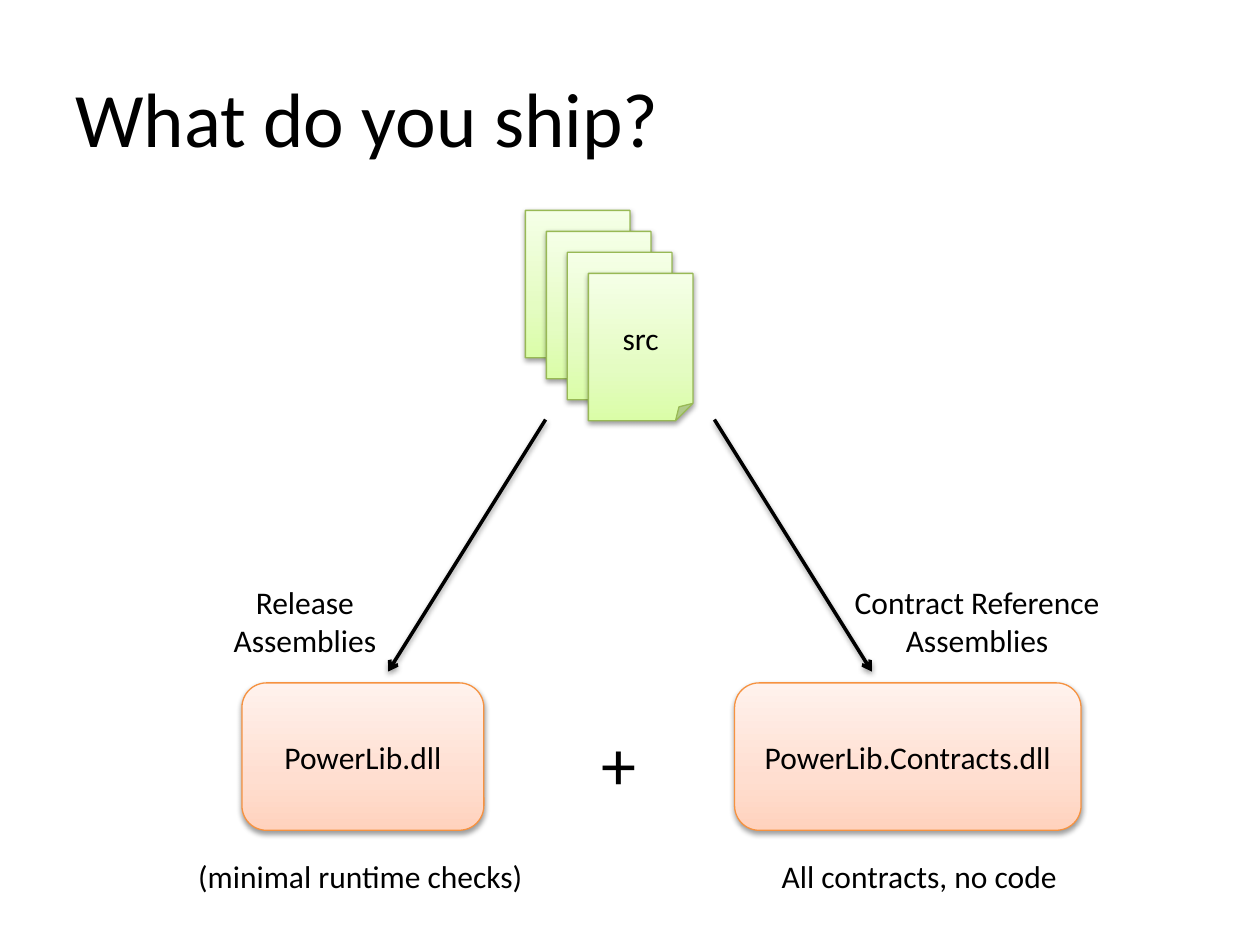
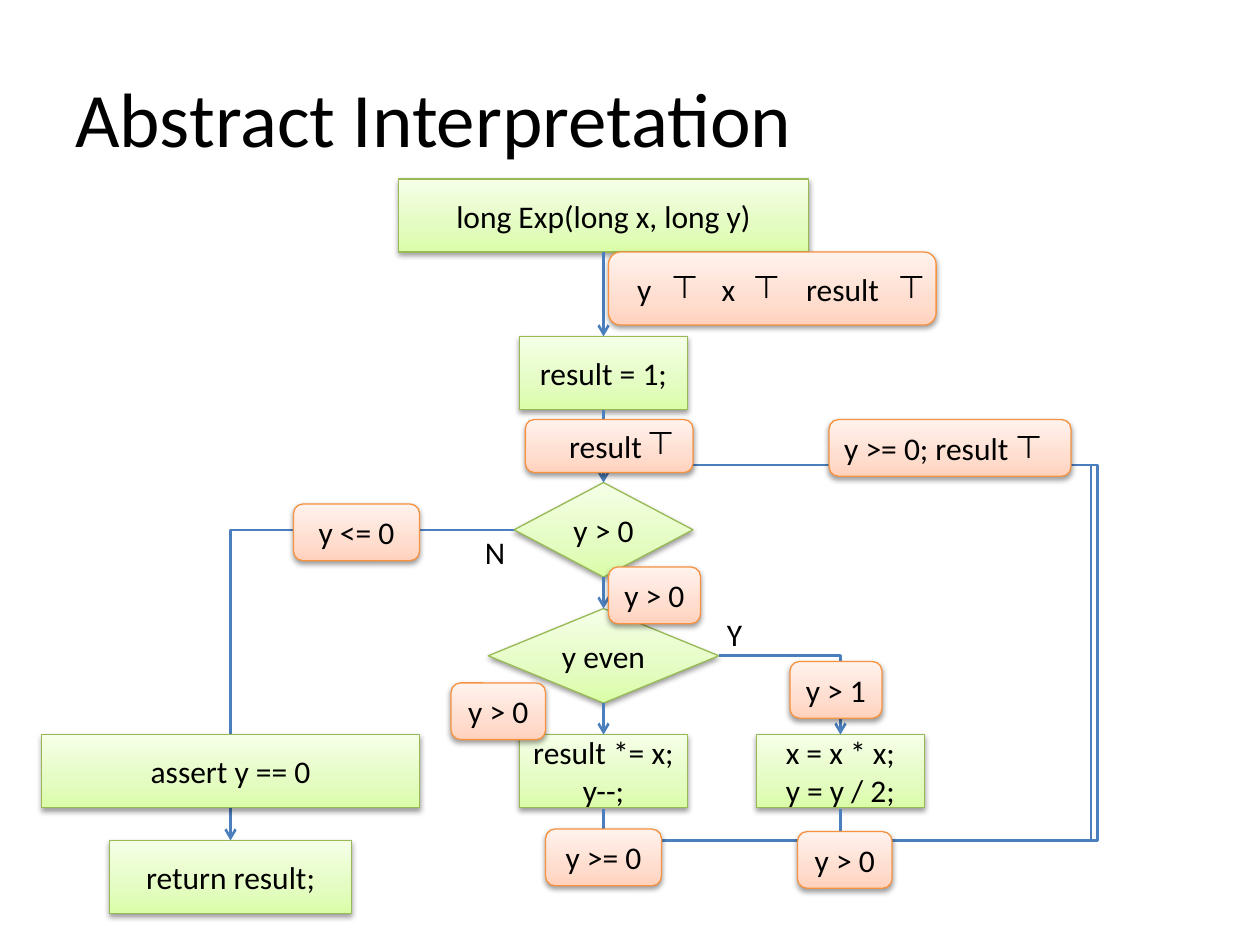
"""Build two slides: shipped assemblies and an abstract interpretation flow chart."""
from copy import deepcopy
from typing import NamedTuple

from lxml.etree import SubElement
from pptx import Presentation
from pptx.dml.color import RGBColor
from pptx.enum.shapes import MSO_CONNECTOR as Link, MSO_SHAPE as Preset
from pptx.enum.text import MSO_ANCHOR as Anchor, PP_ALIGN as Align
from pptx.oxml.ns import qn
from pptx.util import Inches, Pt

FONT = "Calibri"
BLACK = RGBColor(0x00, 0x00, 0x00)
BLUE = RGBColor(0x4B, 0x7E, 0xBC)
GREEN_LINE = RGBColor(0x98, 0xB9, 0x55)
GREEN_DARK = RGBColor(0xDA, 0xFD, 0xA7)
GREEN_MID = RGBColor(0xE4, 0xFC, 0xC2)
GREEN_LIGHT = RGBColor(0xF5, 0xFF, 0xE7)
ORANGE_LINE = RGBColor(0xF6, 0x92, 0x40)
ORANGE_DARK = RGBColor(0xFF, 0xD2, 0xBD)
ORANGE_MID = RGBColor(0xFF, 0xDE, 0xD0)
ORANGE_LIGHT = RGBColor(0xFF, 0xF2, 0xED)

MAIN_X, ASSERT_X, EVEN_X = 4.79, 1.83, 6.67


class Palette(NamedTuple):
    """Outline and gradient colours of a box."""
    line: RGBColor
    stops: tuple


class Box(NamedTuple):
    """A filled shape with centred or left-aligned text."""
    text: str
    left: float
    top: float
    width: float
    height: float
    preset: int = Preset.ROUNDED_RECTANGLE
    align: int = Align.CENTER


class Label(NamedTuple):
    """Plain text without a fill."""
    text: str
    left: float
    top: float
    width: float
    height: float = 0.4
    size: int = 18
    rotation: int = 0


GREEN = Palette(GREEN_LINE, ((0, GREEN_DARK), (0.35, GREEN_MID), (1, GREEN_LIGHT)))
ORANGE = Palette(ORANGE_LINE, ((0, ORANGE_DARK), (0.35, ORANGE_MID), (1, ORANGE_LIGHT)))


def node(text: str, center_x: float, top: float, width: float,
         height: float = 0.58, preset: int = Preset.FLOWCHART_PROCESS) -> Box:
    """Return a flow chart box centred on a column."""
    return Box(text, center_x - width / 2, top, width, height, preset)


def write(text_frame, text: str, size: int, align: int) -> None:
    """Put formatted text into a frame."""
    text_frame.text = text
    for paragraph in text_frame.paragraphs:
        paragraph.alignment = align
        for run in paragraph.runs:
            run.font.name = FONT
            run.font.size = Pt(size)
            run.font.color.rgb = BLACK


def add_shadow(effects) -> None:
    """Add the soft drop shadow to an effect list."""
    shadow = SubElement(effects, qn("a:outerShdw"), blurRad="40000", dist="20000",
                        dir="5400000", rotWithShape="0")
    color = SubElement(shadow, qn("a:srgbClr"), val=str(BLACK))
    SubElement(color, qn("a:alpha"), val="38000")


def add_box(slide, box: Box, palette: Palette):
    """Draw a gradient box with its text."""
    shape = slide.shapes.add_shape(box.preset, Inches(box.left), Inches(box.top),
                                   Inches(box.width), Inches(box.height))
    properties = shape._element.spPr
    shape.fill.gradient()
    shape.fill.gradient_angle = 90
    stop_list = next(properties.iter(qn("a:gsLst")))
    stop_list.append(deepcopy(stop_list[0]))
    for stop, (position, color) in zip(shape.fill.gradient_stops, palette.stops):
        stop.position = position
        stop.color.rgb = color
    shape.line.color.rgb = palette.line
    shape.line.width = Pt(0.75)
    shape.shadow.inherit = False
    add_shadow(properties.find(qn("a:effectLst")))
    text_frame = shape.text_frame
    text_frame.word_wrap = box.align == Align.LEFT
    text_frame.vertical_anchor = Anchor.MIDDLE
    write(text_frame, box.text, 18, box.align)
    return shape


def add_label(slide, label: Label, align: int = Align.CENTER):
    """Draw a text label."""
    shape = slide.shapes.add_textbox(Inches(label.left), Inches(label.top),
                                     Inches(label.width), Inches(label.height))
    shape.rotation = label.rotation
    shape.text_frame.word_wrap = False
    write(shape.text_frame, label.text, label.size, align)
    return shape


def add_arrow(slide, start: tuple, end: tuple, color: RGBColor, width: float,
              kind: int = Link.STRAIGHT, shadow: bool = False):
    """Draw a connector with an open arrowhead."""
    connector = slide.shapes.add_connector(kind, *map(Inches, start + end))
    connector.line.color.rgb = color
    connector.line.width = Pt(width)
    properties = connector._element.spPr
    SubElement(properties.find(qn("a:ln")), qn("a:tailEnd"), type="arrow")
    effects = SubElement(properties, qn("a:effectLst"))
    if shadow:
        add_shadow(effects)
    return connector


def add_join(slide, source, source_side: int, target, kind: int = Link.STRAIGHT) -> None:
    """Join a side of one shape to the top of another."""
    connector = add_arrow(slide, (0, 0), (1, 1), BLUE, 1.5, kind)
    connector.begin_connect(source, source_side)
    connector.end_connect(target, 0)
    if kind == Link.ELBOW:
        connector._element.spPr.find(qn("a:prstGeom")).set("prst", "bentConnector2")


def add_loop(slide, start: tuple, end: tuple, drop: float, lane_x: float) -> None:
    """Draw a back edge that drops, runs to a lane and climbs to its end."""
    (start_x, start_y), (end_x, end_y) = start, end
    center_x, center_y = (start_x + end_x) / 2, (start_y + end_y) / 2
    rise, shift = start_y - end_y, end_x - start_x
    connector = add_arrow(slide, (center_x + rise / 2, center_y + shift / 2),
                          (center_x - rise / 2, center_y - shift / 2), BLUE, 1.5, Link.ELBOW)
    properties = connector._element.spPr
    properties.find(qn("a:xfrm")).set("rot", "5400000")
    geometry = properties.find(qn("a:prstGeom"))
    geometry.set("prst", "bentConnector4")
    guides = geometry.find(qn("a:avLst"))
    ratios = (-drop / rise, (lane_x - start_x) / shift)
    for number, ratio in enumerate(ratios, 1):
        SubElement(guides, qn("a:gd"), name=f"adj{number}", fmla=f"val {round(ratio * 100000)}")


def add_titled_slide(presentation, title: str):
    """Add a blank slide with the shared title style."""
    slide = presentation.slides.add_slide(presentation.slide_layouts[6])
    shape = add_label(slide, Label(title, 0.5, 0.3, 9, 1.25, 44), Align.LEFT)
    shape.text_frame.word_wrap = True
    shape.text_frame.vertical_anchor = Anchor.MIDDLE
    return slide


def build_shipping_slide(presentation) -> None:
    """Show the sources and the two assemblies built from them."""
    slide = add_titled_slide(presentation, "What do you ship?")
    for index, text in enumerate(("", "", "", "src")):
        offset = index / 6
        add_box(slide, Box(text, 4.17 + offset, 1.67 + offset, 0.83, 1.17,
                           Preset.FOLDED_CORNER), GREEN)
    for start_x, end_x in ((4.33, 3.08), (5.67, 6.92)):
        add_arrow(slide, (start_x, 3.33), (end_x, 5.33), BLACK, 2, shadow=True)
    for box in (Box("PowerLib.dll", 1.92, 5.42, 1.92, 1.17),
                Box("PowerLib.Contracts.dll", 5.83, 5.42, 2.75, 1.17)):
        add_box(slide, box, ORANGE)
    for label in (
        Label("(minimal runtime checks)", 1.47, 6.75, 2.78),
        Label("All contracts, no code", 6.09, 6.75, 2.41),
        Label("+", 4.67, 5.67, 0.48, 0.77, 40),
        Label("Release\nAssemblies", 1.75, 4.58, 1.34, 0.71),
        Label("Contract Reference\nAssemblies", 6.67, 4.58, 2.17, 0.71),
    ):
        add_label(slide, label)


def add_entry_state(slide) -> None:
    """Draw the state at method entry, with its names on tab stops."""
    shape = add_box(slide, Box("y\tx\tresult", 4.83, 2, 2.6, 0.58, align=Align.LEFT), ORANGE)
    shape.text_frame.margin_left = Inches(0.2)
    properties = shape.text_frame.paragraphs[0]._p.get_or_add_pPr()
    tabs = SubElement(properties, qn("a:tabLst"))
    for position in (0.67, 1.34):
        SubElement(tabs, qn("a:tab"), pos=str(Inches(position)), algn="l")


def build_interpretation_slide(presentation) -> None:
    """Show the flow chart with abstract states on its edges."""
    slide = add_titled_slide(presentation, "Abstract Interpretation")
    decision = Preset.FLOWCHART_DECISION
    entry, assign, positive, finish, even, multiply, square = (
        add_box(slide, box, GREEN) for box in (
            node("long Exp(long x, long y)", MAIN_X, 1.42, 3.25),
            node("result = 1;", MAIN_X, 2.67, 1.33),
            node("y > 0", MAIN_X, 3.83, 1.42, 0.75, decision),
            node("return result;", ASSERT_X, 6.67, 1.92),
            node("y even", MAIN_X, 4.83, 1.83, 0.75, decision),
            node("result *= x;\ny--;", MAIN_X, 5.83, 1.33),
            node("x = x * x;\ny = y / 2;", EVEN_X, 5.83, 1.33),
        ))
    add_join(slide, positive, 1, finish, Link.ELBOW)
    add_join(slide, even, 3, square, Link.ELBOW)
    for source, target in ((even, multiply), (positive, even),
                           (assign, positive), (entry, assign)):
        add_join(slide, source, 2, target)
    for start_x, lane_x in ((EVEN_X, 8.71), (MAIN_X, 8.72)):
        add_loop(slide, (start_x, 6.42), (4.8, 3.69), 0.25, lane_x)
    add_label(slide, Label("N", 3.75, 4.18, 0.36))
    add_label(slide, Label("Y", 5.67, 4.83, 0.32))
    add_box(slide, node("assert y == 0", ASSERT_X, 5.83, 3), GREEN)

    for state in (
        Box("result ", 4.17, 3.33, 1.33, 0.42),
        Box("y > 0", 4.83, 4.5, 0.73, 0.45),
        Box("y > 1", 6.27, 5.25, 0.73, 0.45),
        Box("y > 0", 6.33, 6.6, 0.75, 0.45),
        Box("y >= 0", 4.33, 6.58, 0.92, 0.45),
        Box("y > 0", 3.58, 5.42, 0.75, 0.45),
        Box("y >= 0; result", 6.58, 3.33, 1.92, 0.45, align=Align.LEFT),
        Box("y <= 0", 2.33, 4, 1, 0.45),
    ):
        add_box(slide, state, ORANGE)
    add_entry_state(slide)
    for left, top in ((8, 3.36), (7.07, 2.09), (5.92, 2.09), (5.27, 2.09), (5.08, 3.33)):
        add_label(slide, Label("⊥", left, top, 0.37, rotation=180))


def main() -> None:
    """Build and save the presentation."""
    presentation = Presentation()
    presentation.slide_width = Inches(10)
    presentation.slide_height = Inches(7.5)
    build_shipping_slide(presentation)
    build_interpretation_slide(presentation)
    presentation.save("out.pptx")


if __name__ == "__main__":
    main()
